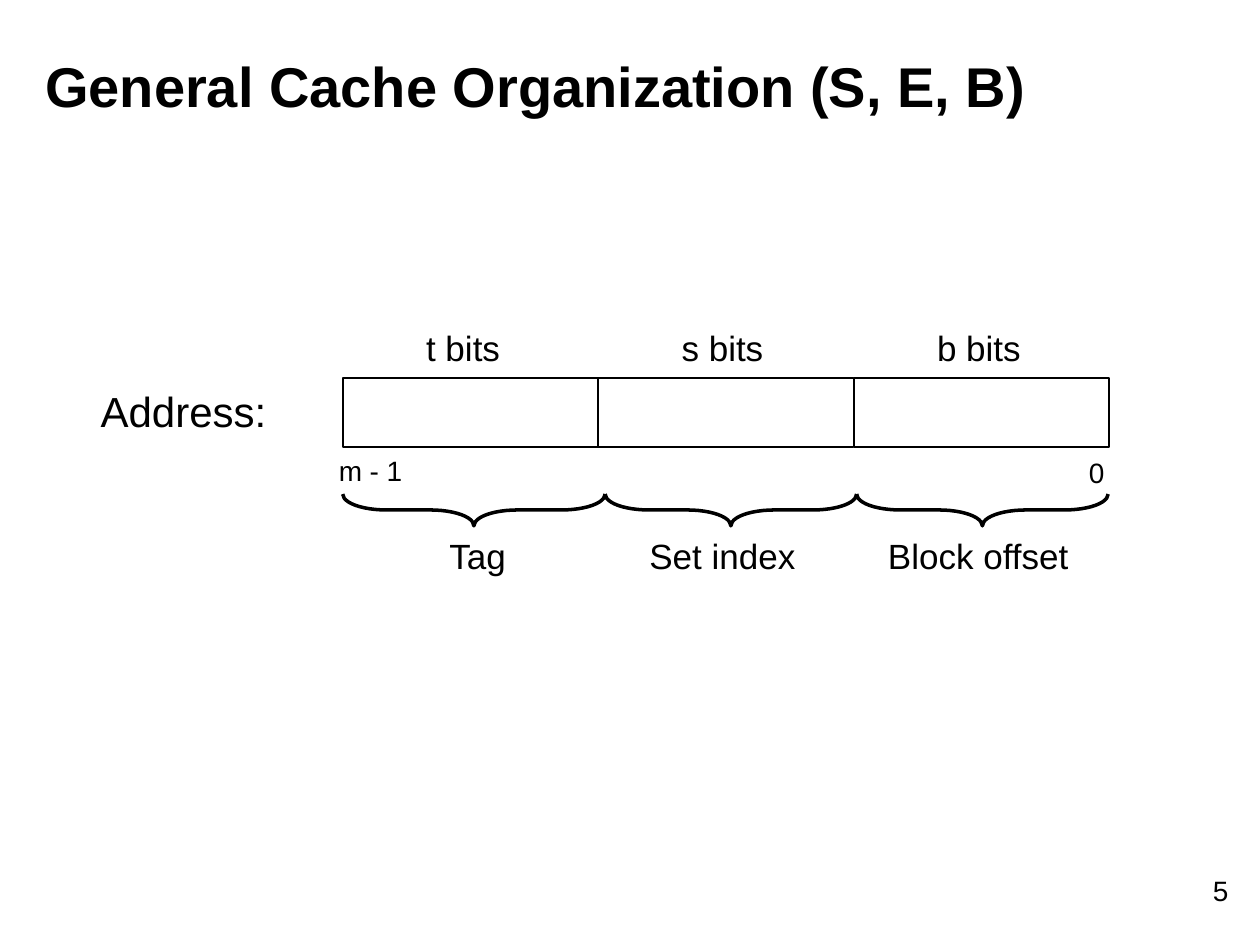
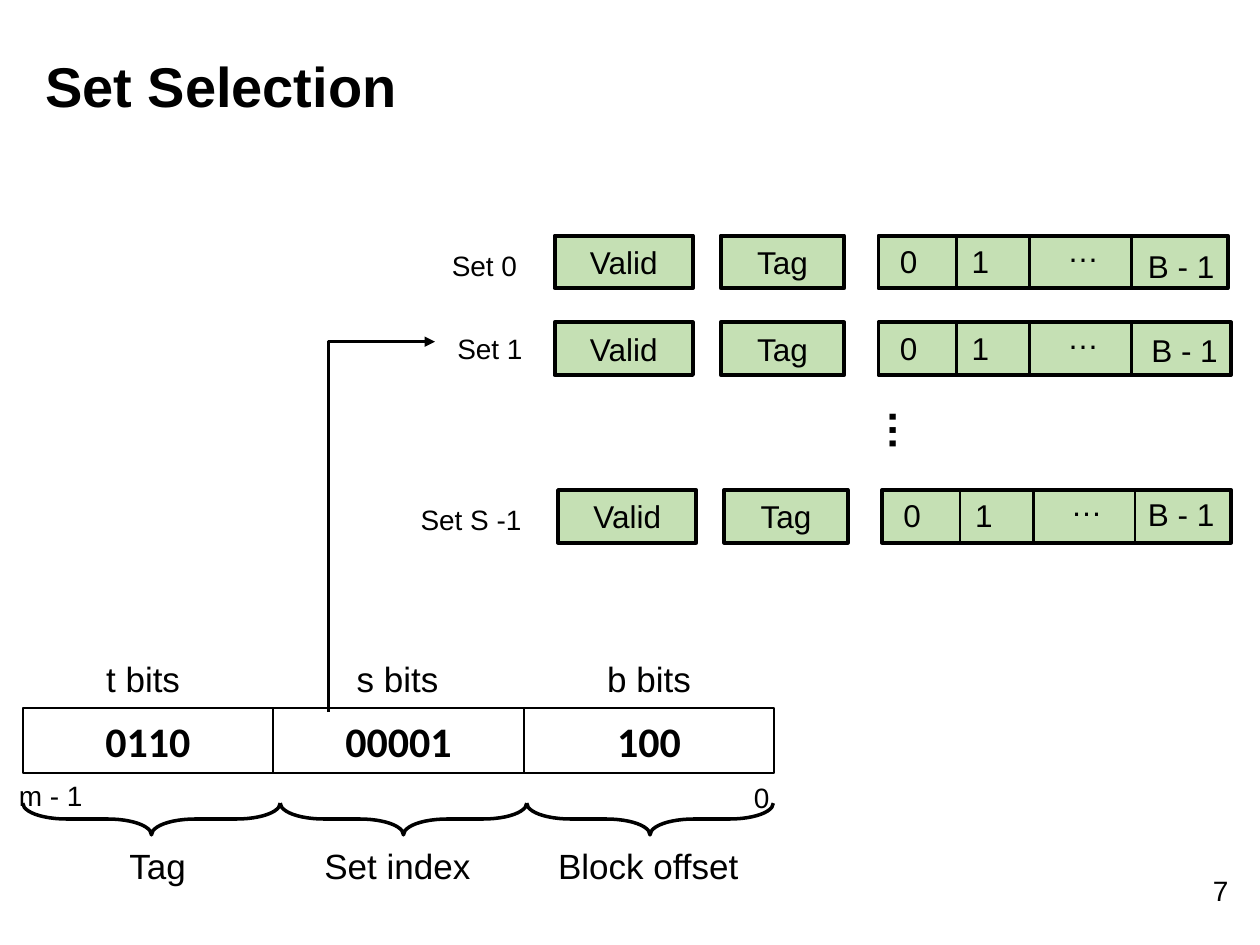
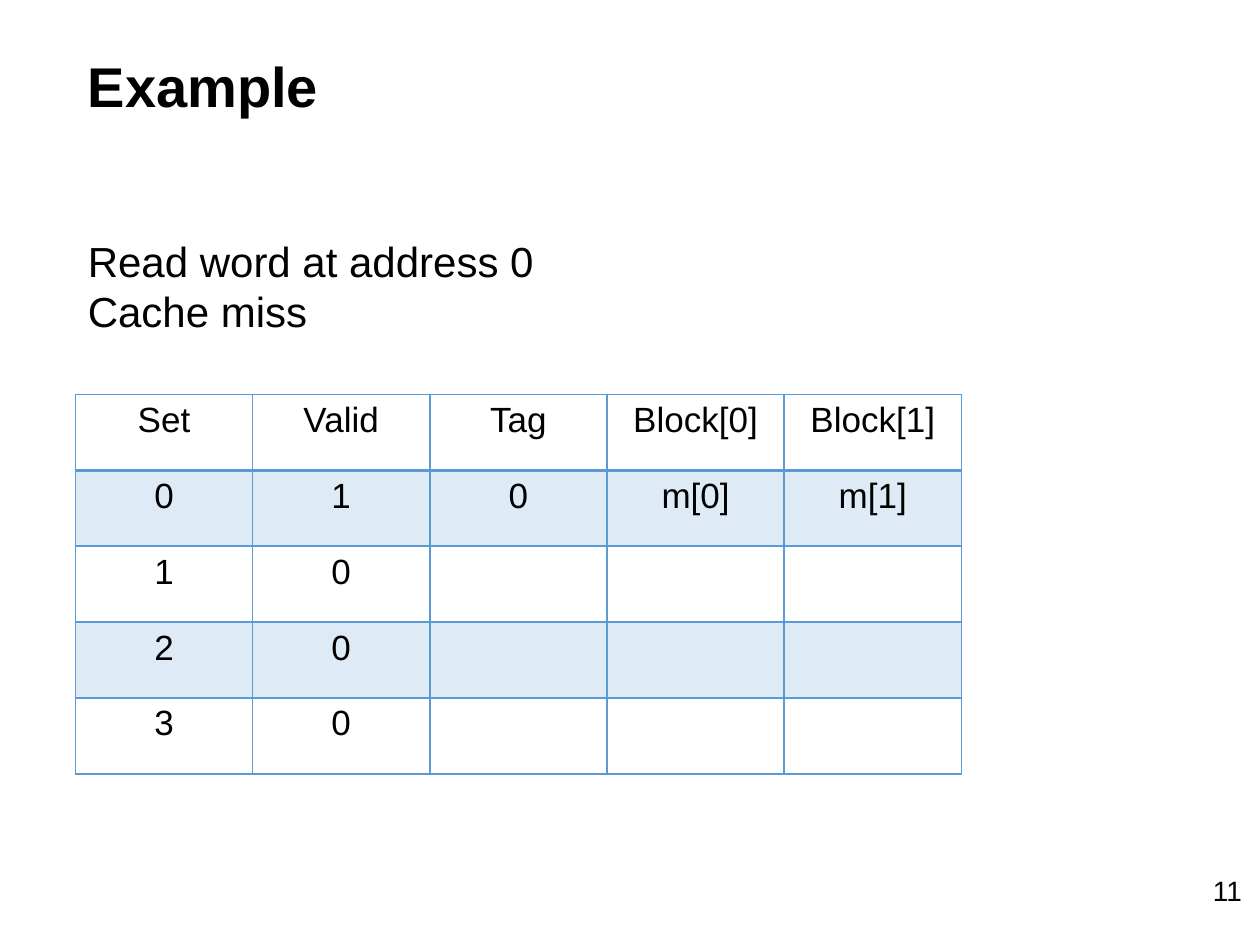
from dataclasses import dataclass

from lxml import etree
from pptx import Presentation
from pptx.dml.color import RGBColor
from pptx.enum.shapes import MSO_CONNECTOR, MSO_SHAPE
from pptx.enum.text import MSO_ANCHOR, PP_ALIGN
from pptx.oxml.ns import qn
from pptx.util import Cm, Pt

RECTANGLE = MSO_SHAPE.RECTANGLE
LEFT_BRACE = MSO_SHAPE.LEFT_BRACE
STRAIGHT = MSO_CONNECTOR.STRAIGHT
ELBOW = MSO_CONNECTOR.ELBOW
TOP = MSO_ANCHOR.TOP
MIDDLE = MSO_ANCHOR.MIDDLE
LEFT = PP_ALIGN.LEFT
CENTER = PP_ALIGN.CENTER

BLACK = RGBColor(0x00, 0x00, 0x00)
WHITE = RGBColor(0xFF, 0xFF, 0xFF)
GREEN = RGBColor(0xC5, 0xE0, 0xB4)
BLUE = RGBColor(0x5B, 0x9B, 0xD5)

BODY_FONT = "Arial"
VALUE_FONT = "Calibri"

# Address fields: bit count, name, name indent and name width in cm
ADDRESS_FIELDS = [
    ("t bits", "Tag", 1.9, 2.2),
    ("s bits", "Set index", 0.78, 3.55),
    ("b bits", "Block offset", 0.44, 4.65),
]
BRACE_HEIGHT = 0.64

# Cache sets
CELL_HEIGHT = 1.06
BLOCK_OFFSET = 6.53
DIVIDER_OFFSETS = (8.1, 9.58, 11.63)

CACHE_ROWS = [
    ("Set", "Valid", "Tag", "Block[0]", "Block[1]"),
    ("0", "1", "0", "m[0]", "m[1]"),
    ("1", "0", "", "", ""),
    ("2", "0", "", "", ""),
    ("3", "0", "", "", ""),
]


@dataclass
class CacheSet:
    name: str
    name_left: float
    name_top: float
    name_width: float
    left: float
    top: float
    block_width: float
    last_left: float
    last_top: float


CACHE_SETS = [
    CacheSet("Set 0", 8.86, 4.88, 1.85, 11.18, 4.75, 7.04, 22.89, 4.85),
    CacheSet("Set 1", 8.97, 6.55, 1.85, 11.18, 6.5, 7.11, 22.96, 6.55),
    CacheSet("Set S -1", 8.23, 10.01, 2.57, 11.25, 9.88, 7.04, 22.89, 9.86),
]


# Basic elements
def write(frame, lines, size, bold=False, align=LEFT, font=BODY_FONT):
    for index, line in enumerate(lines):
        para = frame.paragraphs[0] if index == 0 else frame.add_paragraph()
        para.text = line
        para.alignment = align
        para.font.name = font
        para.font.size = Pt(size)
        para.font.bold = bold
        para.font.color.rgb = BLACK


def add_text(slide, left, top, width, height, *lines, size=20, bold=False,
             anchor=TOP, wrap=True):
    box = slide.shapes.add_textbox(Cm(left), Cm(top), Cm(width), Cm(height))
    box.text_frame.word_wrap = wrap
    box.text_frame.vertical_anchor = anchor
    write(box.text_frame, lines, size, bold)
    return box


def add_box(slide, left, top, width, height, fill, line_width):
    box = slide.shapes.add_shape(RECTANGLE, Cm(left), Cm(top), Cm(width), Cm(height))
    box.shadow.inherit = False
    box.fill.solid()
    box.fill.fore_color.rgb = fill
    box.line.color.rgb = BLACK
    box.line.width = Pt(line_width)
    box.text_frame.vertical_anchor = MIDDLE
    return box


def add_brace(slide, left, top, width):
    """Draw a brace that spans the width and points down."""
    shift = (width - BRACE_HEIGHT) / 2
    brace = slide.shapes.add_shape(
        LEFT_BRACE, Cm(left + shift), Cm(top - shift), Cm(BRACE_HEIGHT), Cm(width))
    brace.rotation = 270
    brace.adjustments[0] = 1.37
    brace.adjustments[1] = 0.5
    brace.shadow.inherit = False
    brace.fill.background()
    brace.line.color.rgb = BLACK
    brace.line.width = Pt(2)


def add_line(slide, kind, start_x, start_y, end_x, end_y):
    line = slide.shapes.add_connector(
        kind, Cm(start_x), Cm(start_y), Cm(end_x), Cm(end_y))
    line.line.color.rgb = BLACK
    line.line.width = Pt(1.5)
    etree.SubElement(line._element.spPr, qn("a:effectLst"))
    return line


def add_selection_arrow(slide):
    """Draw an elbow arrow from the set index up and right to the chosen set."""
    arrow = add_line(slide, ELBOW, 11.43, 11.7, 3.96, 9.55)
    properties = arrow._element.spPr
    properties.find(qn("a:xfrm")).set("rot", "5400000")
    guides = properties.find(qn("a:prstGeom")).find(qn("a:avLst"))
    etree.SubElement(guides, qn("a:gd"), name="adj1", fmla="val 100000")
    etree.SubElement(properties.find(qn("a:ln")), qn("a:tailEnd"), type="triangle")


# Parts of the slides
def add_page(deck, title, number, title_left=0.66):
    slide = deck.slides.add_slide(deck.slide_layouts[6])
    add_text(slide, 24.2, 17.48, 1.2, 0.94, number, size=16)
    add_text(slide, title_left, 0.66, 21.08, 2.1, title, size=32, bold=True,
             anchor=MIDDLE)
    return slide


def draw_address(slide, left, top, field_width, field_height, brace_gap, values=()):
    bottom = top + field_height
    brace_top = bottom + brace_gap
    brace_left = left
    add_text(slide, left - 0.33, bottom, 2.2, 0.9, "m - 1", size=16)
    add_text(slide, left + 3 * field_width - 0.66, bottom + 0.03, 0.88, 0.9, "0",
             size=16)
    for index, (bits, name, indent, name_width) in enumerate(ADDRESS_FIELDS):
        field_left = left + index * field_width
        field = add_box(slide, field_left, top, field_width, field_height, WHITE, 1)
        if values:
            write(field.text_frame, [values[index]], 24, True, CENTER, VALUE_FONT)
        add_text(slide, field_left + 1.43, top - 1.16, 2.2, 1.1, bits)
        # The first brace is slightly wider than the others
        brace_width = field_width + (0.14 if index == 0 else -0.08)
        add_brace(slide, brace_left, brace_top, brace_width)
        brace_left += brace_width
        add_text(slide, field_left + indent, brace_top + 0.7, name_width, 1.1, name)


def draw_set(slide, row):
    for text, offset, width in (("Valid", 0, 2.79), ("Tag", 3.35, 2.49)):
        cell = add_box(slide, row.left + offset, row.top, width, CELL_HEIGHT,
                       GREEN, 2.25)
        write(cell.text_frame, [text], 18, align=CENTER)
    block_left = row.left + BLOCK_OFFSET
    add_box(slide, block_left, row.top, row.block_width, CELL_HEIGHT, GREEN, 2.25)
    for offset in DIVIDER_OFFSETS:
        divider_x = row.left + offset
        add_line(slide, STRAIGHT, divider_x, row.top, divider_x, row.top + CELL_HEIGHT)
    for text, offset, rise in (("0", 0.18, 0), ("1", 1.63, 0), ("…", 3.56, 0.22)):
        add_text(slide, block_left + offset, row.top - rise, 1.37, 1.09, text, size=18)
    add_text(slide, row.last_left, row.last_top, 1.85, 1.09, "B - 1", size=18)
    add_text(slide, row.name_left, row.name_top, row.name_width, 0.94, row.name,
             size=16, wrap=False)


def set_borders(cell, bottom_width):
    properties = cell._tc.get_or_add_tcPr()
    for side, width in (("L", 1), ("R", 1), ("T", 1), ("B", bottom_width)):
        border = etree.SubElement(properties, qn("a:ln" + side), w=str(Pt(width)))
        fill = etree.SubElement(border, qn("a:solidFill"))
        etree.SubElement(fill, qn("a:srgbClr"), val=str(BLUE))


def tint(cell):
    cell.fill.solid()
    cell.fill.fore_color.rgb = BLUE
    color = cell._tc.tcPr.find(qn("a:solidFill")).find(qn("a:srgbClr"))
    etree.SubElement(color, qn("a:alpha"), val="20000")


def draw_cache_table(slide):
    row_count, column_count = len(CACHE_ROWS), len(CACHE_ROWS[0])
    table = slide.shapes.add_table(
        row_count, column_count, Cm(1.52), Cm(7.95), Cm(17.86), Cm(7.65)).table
    table.first_row = False
    table.horz_banding = False
    for row_index, texts in enumerate(CACHE_ROWS):
        for column_index, text in enumerate(texts):
            cell = table.cell(row_index, column_index)
            set_borders(cell, 2 if row_index == 0 else 1)
            if row_index % 2:
                tint(cell)
            else:
                cell.fill.background()
            write(cell.text_frame, [text], 20, align=CENTER)


def main():
    deck = Presentation()
    deck.slide_width = Cm(25.4)
    deck.slide_height = Cm(19.05)

    # Address layout
    page = add_page(deck, "General Cache Organization (S, E, B)", "5")
    add_text(page, 1.78, 7.65, 4.8, 1.27, "Address:", size=24)
    draw_address(page, 6.91, 7.62, 5.15, 1.4, 0.94)

    # Set selection
    page = add_page(deck, "Set Selection", "7")
    draw_address(page, 0.46, 14.28, 5.05, 1.3, 0.61, ("0110", "00001", "100"))
    for row in CACHE_SETS:
        draw_set(page, row)
    dots = add_text(page, 17.04, 8.03, 1.37, 1.27, "…", size=24, bold=True)
    dots.rotation = 270
    add_selection_arrow(page)

    # Cache miss example
    page = add_page(deck, "Example", "11", title_left=1.52)
    add_text(page, 1.52, 4.62, 21.44, 3.33, "Read word at address 0", "Cache miss",
             size=24)
    draw_cache_table(page)

    deck.save("out.pptx")


main()
